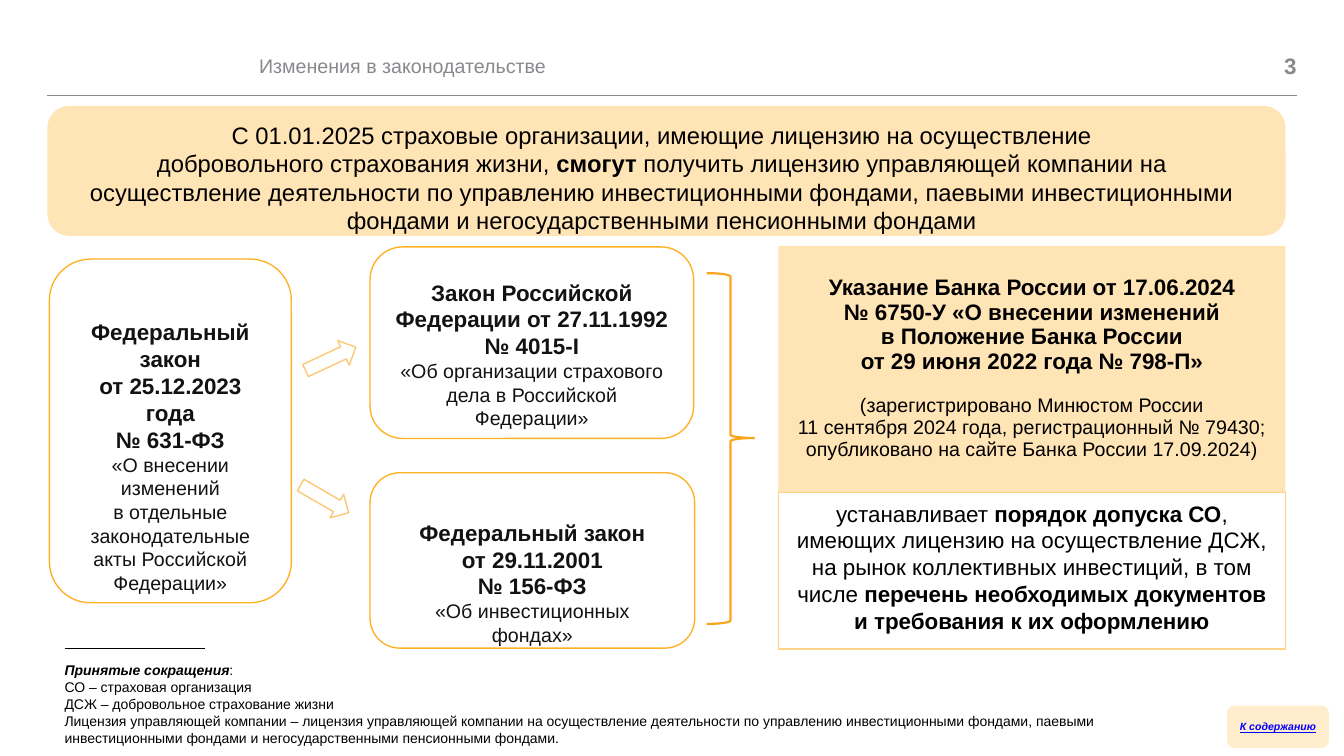
from dataclasses import dataclass

from lxml import etree
from pptx import Presentation
from pptx.dml.color import RGBColor
from pptx.enum.shapes import MSO_CONNECTOR, MSO_SHAPE
from pptx.enum.text import MSO_ANCHOR, PP_ALIGN
from pptx.oxml.ns import qn
from pptx.util import Inches, Pt

RECT = MSO_SHAPE.RECTANGLE
ROUNDED = MSO_SHAPE.ROUNDED_RECTANGLE
RIGHT_ARROW = MSO_SHAPE.RIGHT_ARROW
RIGHT_BRACE = MSO_SHAPE.RIGHT_BRACE
STRAIGHT = MSO_CONNECTOR.STRAIGHT
LEFT, CENTER, RIGHT = PP_ALIGN.LEFT, PP_ALIGN.CENTER, PP_ALIGN.RIGHT
TOP, MIDDLE = MSO_ANCHOR.TOP, MSO_ANCHOR.MIDDLE


@dataclass(frozen=True)
class Theme:
    """Colours, type sizes and line weights of the slide."""
    font: str = "Arial"
    gray: str = "87898D"
    ink: str = "121213"
    black: str = "000000"
    link: str = "0000FF"
    cream: str = "FFE4B6"
    pale_cream: str = "FFEDCE"
    amber: str = "FFB123"
    brace: str = "F9A61A"
    arrow: str = "FBC976"
    soft_amber: str = "FFD385"
    banner: float = 17
    title: float = 16
    body: float = 14
    note: float = 10
    button: float = 7.5
    corner: float = 0.17
    thin: float = 0.48
    outline: float = 0.96


@dataclass(frozen=True)
class Para:
    """One paragraph; asterisks switch bold on and off."""
    text: str
    size: float
    pitch: float
    color: str = "000000"
    bold: bool = False
    italic: bool = False
    underline: bool = False
    before: float = 0
    align: PP_ALIGN = CENTER


THEME = Theme()


def write(frame, paras, insets=(0, 0, 0, 0), anchor=TOP):
    """Fill a text frame with styled paragraphs; insets are left, top, right, bottom."""
    frame.word_wrap = True
    frame.vertical_anchor = anchor
    (frame.margin_left, frame.margin_top,
     frame.margin_right, frame.margin_bottom) = map(Inches, insets)
    for index, para in enumerate(paras):
        paragraph = frame.add_paragraph() if index else frame.paragraphs[0]
        paragraph.alignment = para.align
        paragraph.line_spacing = Pt(para.pitch)
        paragraph.space_before = Pt(para.before)
        for order, segment in enumerate(para.text.split("*")):
            for row, line in enumerate(segment.split("\v")):
                if row:
                    paragraph.add_line_break()
                if not line:
                    continue
                run = paragraph.add_run()
                run.text = line
                run.font.name = THEME.font
                run.font.size = Pt(para.size)
                run.font.bold = para.bold or order % 2 == 1
                run.font.italic = para.italic
                run.font.underline = para.underline
                run.font.color.rgb = RGBColor.from_string(para.color)


def add_panel(slide, kind, box, fill=None, line=None, weight=THEME.outline, adjust=()):
    """Add a preset shape with the given fill, outline and adjustments."""
    panel = slide.shapes.add_shape(kind, *map(Inches, box))
    panel.shadow.inherit = False
    if fill:
        panel.fill.solid()
        panel.fill.fore_color.rgb = RGBColor.from_string(fill)
    else:
        panel.fill.background()
    if line:
        panel.line.color.rgb = RGBColor.from_string(line)
        panel.line.width = Pt(weight)
    else:
        panel.line.fill.background()
    for index, value in enumerate(adjust):
        panel.adjustments[index] = value
    return panel


def add_label(slide, box, paras, anchor=TOP):
    """Add a plain text box."""
    label = slide.shapes.add_textbox(*map(Inches, box))
    write(label.text_frame, paras, anchor=anchor)


def add_rule(slide, left, top, width, color):
    """Add a thin horizontal line."""
    rule = slide.shapes.add_connector(
        STRAIGHT, Inches(left), Inches(top), Inches(left + width), Inches(top))
    rule.line.color.rgb = RGBColor.from_string(color)
    rule.line.width = Pt(THEME.thin)
    etree.SubElement(rule._element.spPr, qn("a:effectLst"))


def add_header(slide, box):
    """Place the section name, page number and rule."""
    left, top, width, height = box
    add_label(slide, (left + 2.1, top, 4, 0.29),
              [Para("Изменения в законодательстве", THEME.body, 16.8, THEME.gray, align=LEFT)],
              MIDDLE)
    add_label(slide, (left + width - 0.4, top, 0.4, 0.29),
              [Para("3", THEME.title, 19.2, THEME.gray, bold=True, align=RIGHT)], MIDDLE)
    add_rule(slide, left, top + height, width, THEME.gray)


def add_banner(slide, box):
    """Place the main message on a rounded cream band."""
    banner = add_panel(slide, ROUNDED, box, THEME.cream, adjust=(THEME.corner,))
    write(banner.text_frame, [Para(text, THEME.banner, 20.4) for text in (
        "С 01.01.2025 страховые организации, имеющие лицензию на осуществление",
        "добровольного страхования жизни, *смогут* получить лицензию управляющей компании "
        "на осуществление деятельности по управлению инвестиционными фондами, паевыми "
        "инвестиционными фондами и негосударственными пенсионными фондами",
    )], (0.19, 0.08, 0.28, 0))


def add_law(slide, box, inset, title, subject):
    """Place one law as an outlined rounded box."""
    law = add_panel(slide, ROUNDED, box, line=THEME.amber, adjust=(THEME.corner,))
    write(law.text_frame, [Para(title, THEME.title, 19.2, THEME.ink, bold=True),
                           Para(subject, THEME.body, 16.8, THEME.ink)], (0, inset, 0, 0))


def add_arrow(slide, center_x, center_y, angle):
    """Place a tilted block arrow around its centre."""
    length, breadth = 0.55, 0.27
    arrow = add_panel(slide, RIGHT_ARROW,
                      (center_x - length / 2, center_y - breadth / 2, length, breadth),
                      line=THEME.arrow, weight=1, adjust=(0.49, 0.5))
    arrow.rotation = angle


def add_directive(slide, box):
    """Place the directive: cream heading above an outlined statement."""
    left, top, width, height = box
    heading_height = 2.44
    statement = add_panel(slide, RECT,
                          (left, top + heading_height, width, height - heading_height),
                          line=THEME.soft_amber)
    write(statement.text_frame, [Para(text, THEME.title, 19.1) for text in (
        "устанавливает *порядок допуска СО*,",
        "имеющих лицензию на осуществление ДСЖ, на рынок коллективных инвестиций, в том "
        "числе *перечень необходимых документов и требования к их оформлению*",
    )], (0.15, 0.08, 0.15, 0))
    heading = add_panel(slide, RECT, (left, top, width, heading_height), THEME.cream)
    write(heading.text_frame, [
        Para("Указание Банка России от 17.06.2024\v№ 6750-У «О внесении изменений\v"
             "в Положение Банка России\vот 29 июня 2022 года № 798-П»",
             THEME.title, 17.7, bold=True),
        Para("(зарегистрировано Минюстом России\v11 сентября 2024 года, регистрационный "
             "№ 79430;\vопубликовано на сайте Банка России 17.09.2024)",
             THEME.body, 15.6, before=14.7),
    ], (0, 0.29, 0, 0))


def add_footnote(slide, box):
    """Place the abbreviations under a short rule."""
    left, top, width, height = box
    add_rule(slide, left, top, 1.39, THEME.black)
    add_label(slide, (left, top + 0.13, width, height - 0.13), [
        Para(text, THEME.note, 12.1, align=LEFT) for text in (
            "*Принятые сокращения*:",
            "СО – страховая организация",
            "ДСЖ – добровольное страхование жизни",
            "Лицензия управляющей компании – лицензия управляющей компании на осуществление "
            "деятельности по управлению инвестиционными фондами, паевыми инвестиционными "
            "фондами и негосударственными пенсионными фондами.")])
    caption = slide.shapes[-1].text_frame.paragraphs[0].runs[0]
    caption.font.italic = True


def add_contents_button(slide, box):
    """Place the contents button."""
    button = add_panel(slide, ROUNDED, box, THEME.pale_cream, adjust=(THEME.corner,))
    write(button.text_frame, [Para("К содержанию", THEME.button, 9, THEME.link, bold=True,
                                   italic=True, underline=True)], anchor=MIDDLE)


def main():
    """Build and save the slide."""
    deck = Presentation()
    deck.slide_width, deck.slide_height = Inches(13.33), Inches(7.5)
    slide = deck.slides.add_slide(deck.slide_layouts[6])
    add_header(slide, (0.47, 0.51, 12.39, 0.44))
    add_banner(slide, (0.47, 1.05, 12.28, 1.29))
    add_law(slide, (0.49, 2.57, 2.4, 3.41), 0.47,
            "Федеральный\vзакон\vот 25.12.2023\vгода\v№ 631-ФЗ",
            "«О внесении\vизменений\vв отдельные\vзаконодательные\vакты Российской\vФедерации»")
    add_law(slide, (3.67, 2.45, 3.21, 1.9), 0.22,
            "Закон Российской\vФедерации от 27.11.1992\v№ 4015-I",
            "«Об организации страхового\vдела в Российской\vФедерации»")
    add_law(slide, (3.67, 4.69, 3.22, 1.74), 0.37,
            "Федеральный закон\vот 29.11.2001\v№ 156-ФЗ", "«Об инвестиционных\vфондах»")
    add_arrow(slide, 3.28, 3.56, -25)
    add_arrow(slide, 3.22, 4.95, 30)
    add_panel(slide, RIGHT_BRACE, (7.01, 2.71, 0.47, 3.48), line=THEME.brace,
              weight=1.56, adjust=(0.07, 0.47))
    add_directive(slide, (7.72, 2.44, 5.03, 4))
    add_footnote(slide, (0.64, 6.43, 10.28, 0.98))
    add_contents_button(slide, (12.17, 7, 1.01, 0.42))
    deck.save("out.pptx")


if __name__ == "__main__":
    main()
